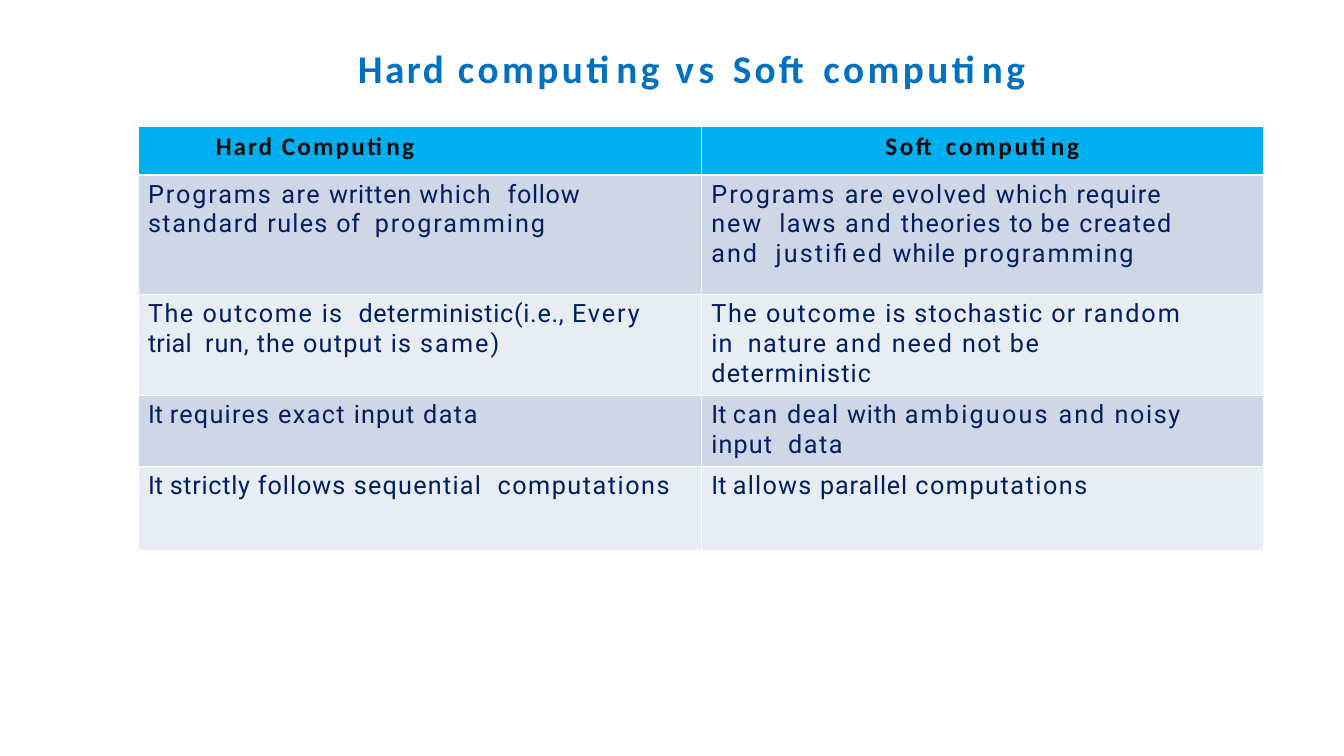
import dataclasses
import typing

import pptx
import pptx.dml.color
import pptx.enum.text
import pptx.oxml
import pptx.oxml.ns
import pptx.util

Cm = pptx.util.Cm
Pt = pptx.util.Pt

COLORS = {
    "title": "0070C0",
    "header_fill": "00AFEF",
    "header_text": "0C0C0C",
    "body_text": "001F5F",
    "dark_band": "CFD7E7",
    "light_band": "E8ECF3",
    "border": "FFFFFF",
}
COLUMN_WIDTHS = (14.2, 14.15)
ROW_HEIGHTS = (1.22, 3.02, 2.54, 1.78, 2.13)
THIN, THICK = 0.5, 1.5


class Piece(typing.NamedTuple):
    """A stretch of text with its letter spacing in points."""
    text: str
    spacing: float


@dataclasses.dataclass(frozen=True)
class TextStyle:
    font: str
    size: float
    color: str
    bold: bool


@dataclasses.dataclass(frozen=True)
class Entry:
    """The content of one cell, with its indents in centimetres."""
    pieces: tuple[Piece, ...]
    left: float = 0.25
    right: float = 0
    centered: bool = False


def pieces(*pairs: tuple[str, float]) -> tuple[Piece, ...]:
    return tuple(Piece(*pair) for pair in pairs)


TITLE_STYLE = TextStyle("Calibri", 28, "title", True)
HEADER_STYLE = TextStyle("Calibri", 18, "header_text", True)
BODY_STYLE = TextStyle("Roboto", 18, "body_text", False)

TITLE = pieces(("Hard ", 1.8), ("computing ", 2.5), ("vs ", 3.5), ("Soft ", 2.3), ("computing", 2.5))

ROWS = (
    (
        Entry(pieces(("Hard ", 1.4), ("Computing", 1.6)), left=1.96),
        Entry(pieces(("Soft ", 1.8), ("computing", 1.9)), left=0, centered=True),
    ),
    (
        Entry(pieces(
            ("Programs ", 1.4), ("are ", 1.1), ("written ", 0.6), ("which  ", 1), ("follow ", 0.5),
            ("standard ", 1.1), ("rules ", 0.9), ("of  ", 0.5), ("programming", 1.4),
        ), right=2),
        Entry(pieces(
            ("Programs ", 1.4), ("are ", 1), ("evolved ", 1.1), ("which ", 1), ("require ", 0.8),
            ("new  ", 1.3), ("laws ", 1.1), ("and ", 1.4), ("theories ", 0.9), ("to ", 0.6),
            ("be ", 1.2), ("created ", 0.9), ("and ", 1.4), (" justified ", 1.5),
            ("while ", 0.7), ("programming", 1.4),
        ), right=1.95),
    ),
    (
        Entry(pieces(
            ("The ", 1.1), ("outcome ", 1.2), ("is  ", 0.9), ("deterministic(i.e., ", 0.5),
            ("Every ", 1.4), ("trial  ", 0.2), ("run, ", 0.6), ("the ", 0.8),
            ("output is ", 0.9), ("same)", 1.5),
        ), right=1),
        Entry(pieces(
            ("The ", 1.1), ("outcome ", 1.2), ("is stochastic ", 0.9), ("or ", 0.8), ("random ", 1.4),
            ("in  ", 0.7), ("nature ", 1), ("and ", 1.5), ("need ", 1.3), ("not ", 0.9),
            ("be ", 1.2), ("deterministic", 0.8),
        ), right=1.95),
    ),
    (
        Entry(pieces(("It ", 0.1), ("requires ", 0.9), ("exact ", 1), ("input ", 0.8), ("data", 1.1))),
        Entry(pieces(
            ("It ", 0), ("can ", 1.3), ("deal ", 0.9), ("with ", 0.6), ("ambiguous ", 1.6),
            ("and ", 1.4), ("noisy ", 1.2), ("input  ", 0.8), ("data", 1.1),
        ), right=1.95),
    ),
    (
        Entry(pieces(
            ("It ", 0.1), ("strictly ", 0.5), ("follows ", 0.7), ("sequential  ", 0.9), ("computations", 1.1),
        )),
        Entry(pieces(("It ", 0), ("allows ", 0.9), ("parallel ", 0.6), ("computations", 1.1))),
    ),
)


def rgb(name: str) -> pptx.dml.color.RGBColor:
    return pptx.dml.color.RGBColor.from_string(COLORS[name])


def write_pieces(paragraph, content: tuple[Piece, ...], style: TextStyle) -> None:
    for piece in content:
        run = paragraph.add_run()
        run.text = piece.text
        run.font.name = style.font
        run.font.size = Pt(style.size)
        run.font.bold = style.bold
        run.font.color.rgb = rgb(style.color)
        run._r.get_or_add_rPr().set("spc", str(round(piece.spacing * 100)))


def set_borders(cell, top: float, bottom: float) -> None:
    """Draw the four cell edges; must run before the fill is set."""
    properties = cell._tc.get_or_add_tcPr()
    for edge, width in (("lnL", THIN), ("lnR", THIN), ("lnT", top), ("lnB", bottom)):
        properties.append(pptx.oxml.parse_xml(
            f'<a:{edge} {pptx.oxml.ns.nsdecls("a")} w="{Pt(width)}"><a:solidFill>'
            f'<a:srgbClr val="{COLORS["border"]}"/></a:solidFill></a:{edge}>'
        ))


def fill_cell(cell, entry: Entry, row_index: int) -> None:
    is_header = row_index == 0
    set_borders(cell, THICK if row_index == 1 else THIN, THICK if is_header else THIN)
    band = "dark_band" if row_index % 2 else "light_band"
    cell.fill.solid()
    cell.fill.fore_color.rgb = rgb("header_fill" if is_header else band)
    cell.margin_left = cell.margin_right = cell.margin_bottom = 0
    cell.margin_top = Cm(0.13)
    cell.vertical_anchor = pptx.enum.text.MSO_ANCHOR.TOP

    paragraph = cell.text_frame.paragraphs[0]
    alignments = pptx.enum.text.PP_ALIGN
    paragraph.alignment = alignments.CENTER if entry.centered else alignments.LEFT
    paragraph_properties = paragraph._p.get_or_add_pPr()
    paragraph_properties.set("marL", str(Cm(entry.left)))
    paragraph_properties.set("marR", str(Cm(entry.right)))
    write_pieces(paragraph, entry.pieces, HEADER_STYLE if is_header else BODY_STYLE)


def add_title(slide) -> None:
    title = slide.shapes.title
    title.left, title.top, title.width, title.height = Cm(9.02), Cm(1.07), Cm(20.17), Cm(1.27)
    frame = title.text_frame
    frame.margin_left = frame.margin_right = frame.margin_bottom = 0
    frame.margin_top = Cm(0.03)
    frame.word_wrap = True
    frame.auto_size = pptx.enum.text.MSO_AUTO_SIZE.SHAPE_TO_FIT_TEXT
    frame.vertical_anchor = pptx.enum.text.MSO_ANCHOR.MIDDLE
    paragraph = frame.paragraphs[0]
    paragraph.alignment = pptx.enum.text.PP_ALIGN.LEFT
    paragraph.space_before = Pt(0)
    write_pieces(paragraph, TITLE, TITLE_STYLE)


def add_comparison_table(slide) -> None:
    table = slide.shapes.add_table(
        len(ROWS), len(COLUMN_WIDTHS), Cm(3.48), Cm(3.18),
        Cm(sum(COLUMN_WIDTHS)), Cm(sum(ROW_HEIGHTS)),
    ).table
    for column, width in zip(table.columns, COLUMN_WIDTHS):
        column.width = Cm(width)
    for row_index, (entries, height) in enumerate(zip(ROWS, ROW_HEIGHTS)):
        table.rows[row_index].height = Cm(height)
        for column_index, entry in enumerate(entries):
            fill_cell(table.cell(row_index, column_index), entry, row_index)


def main() -> None:
    presentation = pptx.Presentation()
    presentation.slide_width = Cm(33.87)
    presentation.slide_height = Cm(19.05)
    slide = presentation.slides.add_slide(presentation.slide_layouts.get_by_name("Title Only"))
    add_title(slide)
    add_comparison_table(slide)
    presentation.save("out.pptx")


if __name__ == "__main__":
    main()
